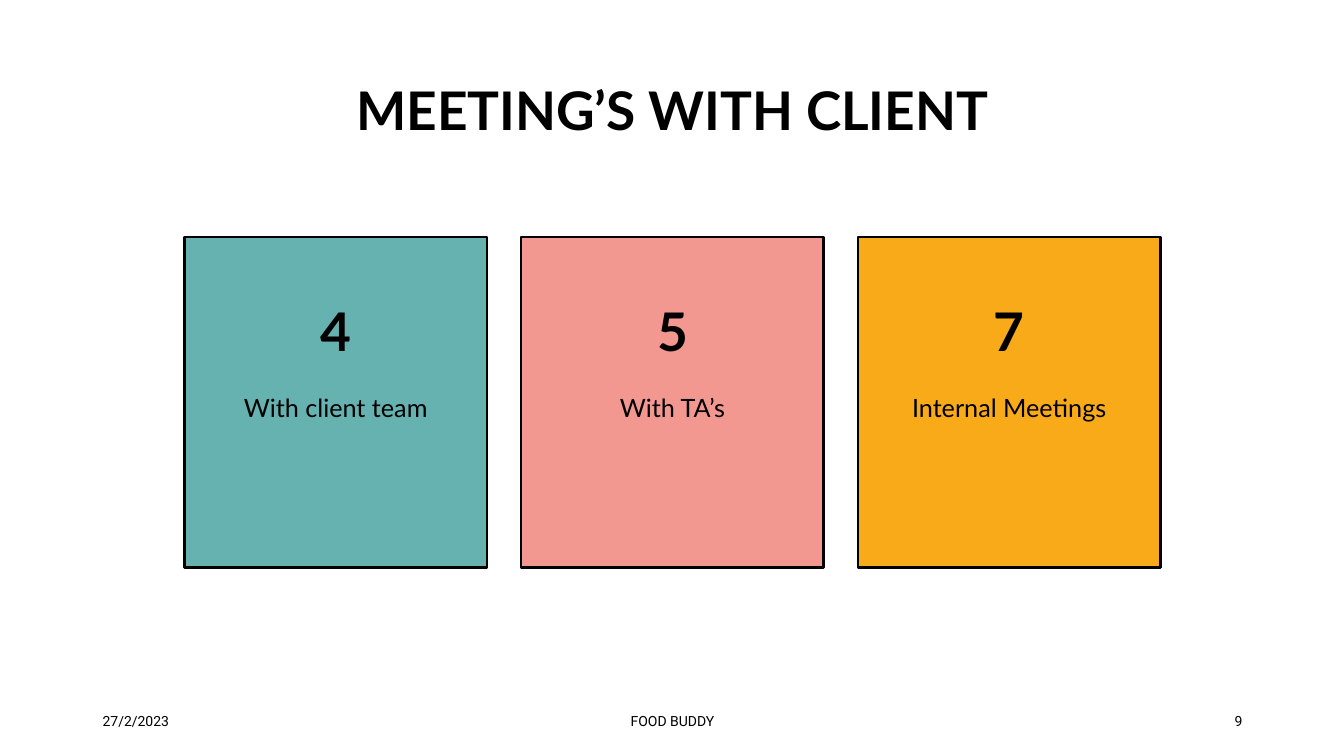
from dataclasses import dataclass

from pptx import Presentation
from pptx.dml.color import RGBColor
from pptx.enum.shapes import MSO_SHAPE as Shape
from pptx.enum.text import MSO_ANCHOR as Anchor, PP_ALIGN as Align
from pptx.util import Pt


@dataclass(frozen=True)
class Theme:
    ink: str = "000000"
    paper: str = "FFFFFF"
    teal: str = "66B2B0"
    pink: str = "F39891"
    amber: str = "F9AA19"
    body_font: str = "Lato"
    footer_font: str = "Roboto"
    headline: int = 38
    label: int = 18
    footer: int = 10
    outline: float = 1.75


theme = Theme()
PX = 9144


def write(holder, text, size, font=theme.body_font, align=Align.CENTER,
          anchor=Anchor.TOP, bold=False, spacing=1.0):
    frame = holder.text_frame
    frame.word_wrap = True
    frame.vertical_anchor = anchor
    paragraph = frame.paragraphs[0]
    paragraph.alignment = align
    paragraph.line_spacing = spacing
    run = paragraph.add_run()
    run.text = text
    run.font.name = font
    run.font.size = Pt(size)
    run.font.bold = bold
    run.font.color.rgb = RGBColor.from_string(theme.ink)


def place(left, top, width, height):
    return [length * PX for length in (left, top, width, height)]


deck = Presentation()
deck.slide_width = 1333 * PX
deck.slide_height = 750 * PX
slide = deck.slides.add_slide(deck.slide_layouts[6])
slide.background.fill.solid()
slide.background.fill.fore_color.rgb = RGBColor.from_string(theme.paper)

title = slide.shapes.add_textbox(*place(92, 40, 1150, 145))
write(title, "MEETING’S WITH CLIENT", theme.headline,
      anchor=Anchor.MIDDLE, bold=True, spacing=0.9)

meetings = [
    ("4", "With client team", theme.teal),
    ("5", "With TA’s", theme.pink),
    ("7", "Internal Meetings", theme.amber),
]
for index, (count, audience, color) in enumerate(meetings):
    card_left = 183 + index * 334
    card = slide.shapes.add_shape(Shape.RECTANGLE, *place(card_left, 235, 300, 328))
    card.shadow.inherit = False
    card.fill.solid()
    card.fill.fore_color.rgb = RGBColor.from_string(color)
    card.line.color.rgb = RGBColor.from_string(theme.ink)
    card.line.width = Pt(theme.outline)
    card.text_frame.margin_top = 68 * PX
    write(card, count, theme.headline, bold=True, spacing=0.9)

    label = slide.shapes.add_textbox(*place(card_left + 25, 384, 250, 80))
    write(label, audience, theme.label)

footers = [
    ("27/2/2023", 92, 300, Align.LEFT),
    ("FOOD BUDDY", 442, 450, Align.CENTER),
    ("9", 942, 300, Align.RIGHT),
]
for text, left, width, align in footers:
    footer = slide.shapes.add_textbox(*place(left, 695, width, 40))
    write(footer, text, theme.footer, theme.footer_font, align, Anchor.MIDDLE)

deck.save("out.pptx")
